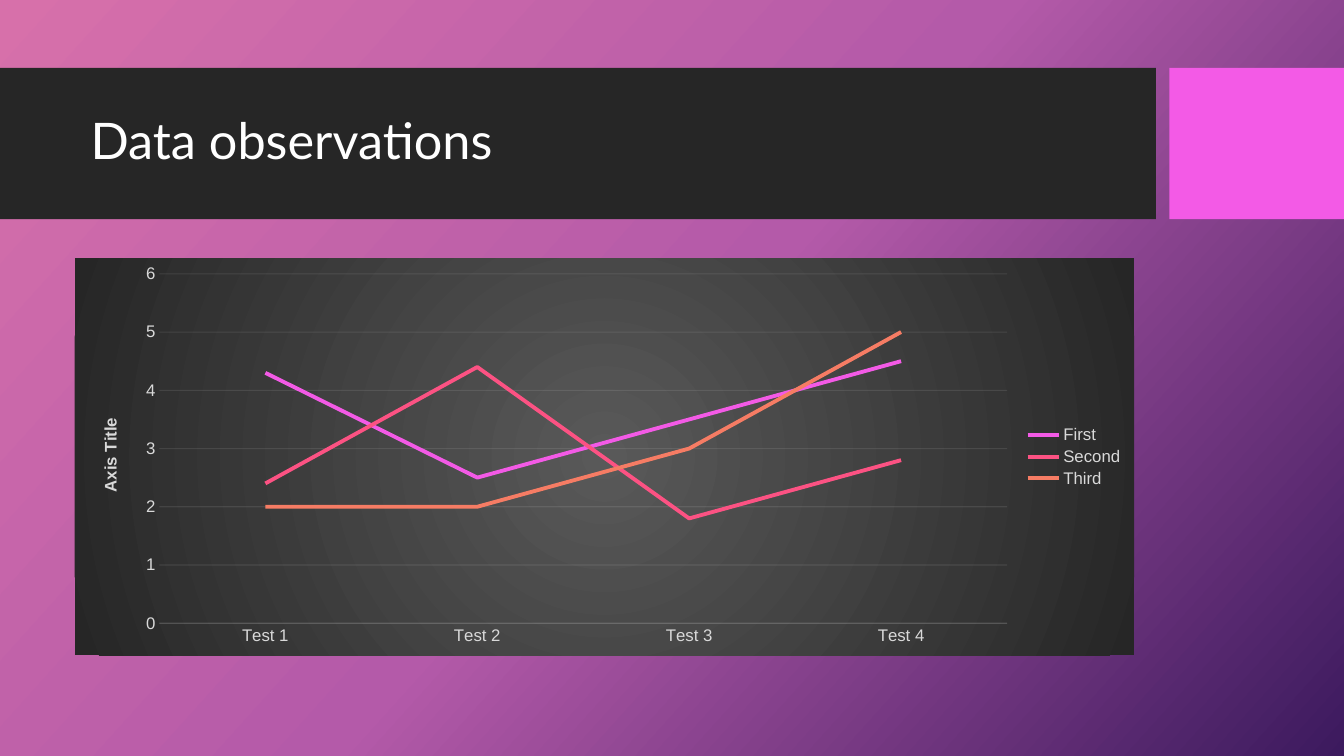
from dataclasses import dataclass

from lxml.etree import SubElement
from pptx import Presentation
from pptx.chart.data import CategoryChartData
from pptx.dml.color import RGBColor
from pptx.enum.chart import XL_CHART_TYPE, XL_LEGEND_POSITION, XL_MARKER_STYLE, XL_TICK_MARK
from pptx.enum.shapes import MSO_SHAPE
from pptx.enum.text import MSO_ANCHOR
from pptx.oxml import parse_xml
from pptx.oxml.ns import nsdecls, qn
from pptx.util import Inches, Pt


@dataclass(frozen=True)
class Theme:
    """Colours, fonts and type sizes of the slide."""

    backdrop: tuple = ((0, "D770AA"), (50, "B45AA9"), (100, "3C1A5E"))
    panel: tuple = ((0, "595959"), (100, "262626"))
    band: str = "262626"
    accent: str = "F35AE6"
    title: str = "FFFFFF"
    label: str = "D9D9D9"
    rule: str = "F2F2F2"
    series: tuple = ("F35AE6", "FC5283", "F67C64")
    title_font: str = "Lato"
    chart_font: str = "Arial"
    title_size: int = 36
    label_size: int = 12


@dataclass(frozen=True)
class Box:
    """A rectangle in inches."""

    left: float
    top: float
    width: float
    height: float

    def place(self):
        """Return the rectangle as slide lengths."""
        return [Inches(side) for side in (self.left, self.top, self.width, self.height)]

    def inner(self, left, top, width, height):
        """Return the inner box given as shares of this one."""
        return Box(self.left + left * self.width, self.top + top * self.height,
                   width * self.width, height * self.height)


THEME = Theme()
SLIDE = Box(0, 0, 13.33, 7.5)
CATEGORIES = ("Test 1", "Test 2", "Test 3", "Test 4")
RESULTS = {
    "First": (4.3, 2.5, 3.5, 4.5),
    "Second": (2.4, 4.4, 1.8, 2.8),
    "Third": (2, 2, 3, 5),
}


def gradient(stops, direction):
    """Build a gradient fill from percent stops and a direction element."""
    listing = "".join(
        f'<a:gs pos="{share * 1000}"><a:srgbClr val="{color}"/></a:gs>' for share, color in stops)
    return f'<a:gradFill {nsdecls("a")}><a:gsLst>{listing}</a:gsLst>{direction}</a:gradFill>'


def style_font(font, name, size, color, bold=False):
    """Set the face, size, colour and weight of a font."""
    font.name, font.size, font.bold = name, Pt(size), bold
    font.color.rgb = RGBColor.from_string(color)


def style_line(line, color, width):
    """Set the colour and width of a line."""
    line.color.rgb = RGBColor.from_string(color)
    line.width = Pt(width)


def paint_background(page):
    """Fill the page with the slanted gradient."""
    page.background.fill.solid()
    solid = next(page.element.iter(qn("a:solidFill")))
    direction = f'<a:lin ang="{42 * 60000}" scaled="0"/>'
    solid.getparent().replace(solid, parse_xml(gradient(THEME.backdrop, direction)))


def add_block(page, box, color):
    """Add a plain rectangle without outline."""
    block = page.shapes.add_shape(MSO_SHAPE.RECTANGLE, *box.place())
    block.shadow.inherit = False
    block.fill.solid()
    block.fill.fore_color.rgb = RGBColor.from_string(color)
    block.line.fill.background()


def add_header(page, box, title):
    """Add the dark band, the accent block and the title."""
    add_block(page, box.inner(0, 0, 0.86, 1), THEME.band)
    add_block(page, box.inner(0.87, 0, 0.13, 1), THEME.accent)
    frame = page.shapes.add_textbox(*box.inner(0.06, 0.1, 0.79, 0.79).place()).text_frame
    frame.word_wrap = True
    frame.vertical_anchor = MSO_ANCHOR.MIDDLE
    frame.text = title
    para = frame.paragraphs[0]
    para.line_spacing = 0.9
    style_font(para.runs[0].font, THEME.title_font, THEME.title_size, THEME.title)


def style_axes(chart):
    """Style both axes, the value title and the faint rules."""
    category, value = chart.category_axis, chart.value_axis
    for axis in (category, value):
        axis.major_tick_mark = axis.minor_tick_mark = XL_TICK_MARK.NONE
        style_font(axis.tick_labels.font, THEME.chart_font, THEME.label_size, THEME.label)
    value.minimum_scale, value.maximum_scale, value.major_unit = 0, 6, 1
    value.format.line.fill.background()
    style_line(category.format.line, THEME.rule, 0.75)
    style_line(value.major_gridlines.format.line, THEME.rule, 0.75)
    for color in chart.element.iter(qn("a:srgbClr")):
        if color.get("val") == THEME.rule:
            SubElement(color, qn("a:alpha"), val="10000")
    frame = value.axis_title.text_frame
    frame.text = "Axis Title"
    style_font(frame.paragraphs[0].runs[0].font, THEME.chart_font,
               THEME.label_size, THEME.label, True)
    title = next(chart.element.iter(qn("c:title")))
    body = next(title.iter(qn("a:bodyPr")))
    body.set("rot", "-5400000")
    body.set("vert", "horz")


def style_panel(chart):
    """Fill the chart area and fix the plot inside it."""
    centre = '<a:path path="circle"><a:fillToRect l="50000" t="50000" r="50000" b="50000"/></a:path>'
    fill = gradient(THEME.panel, centre)
    chart.element.find(qn("c:chart")).addnext(parse_xml(
        f'<c:spPr {nsdecls("c", "a")}>{fill}<a:ln><a:noFill/></a:ln></c:spPr>'))
    plot = next(chart.element.iter(qn("c:plotArea")))
    for layout in plot.findall(qn("c:layout")):
        plot.remove(layout)
    layout = SubElement(plot, qn("c:layout"))
    plot.insert(0, layout)
    manual = SubElement(layout, qn("c:manualLayout"))
    settings = {"layoutTarget": "inner", "xMode": "edge", "yMode": "edge",
                "x": "0.08", "y": "0.04", "w": "0.8", "h": "0.88"}
    for name, setting in settings.items():
        SubElement(manual, qn(f"c:{name}"), val=setting)


def add_results(page, box):
    """Add the line chart of test results."""
    table = CategoryChartData()
    table.categories = CATEGORIES
    for name, scores in RESULTS.items():
        table.add_series(name, scores)
    chart = page.shapes.add_chart(XL_CHART_TYPE.LINE, *box.place(), table).chart
    chart.has_title = False
    style_font(chart.font, THEME.chart_font, THEME.label_size, THEME.label)
    chart.has_legend = True
    chart.legend.position = XL_LEGEND_POSITION.RIGHT
    chart.legend.include_in_layout = False
    style_font(chart.legend.font, THEME.chart_font, THEME.label_size, THEME.label)
    chart.plots[0].vary_by_categories = False
    for series, color in zip(chart.plots[0].series, THEME.series):
        series.smooth = False
        series.marker.style = XL_MARKER_STYLE.NONE
        style_line(series.format.line, color, 2.75)
    style_axes(chart)
    style_panel(chart)


def main():
    """Build and save the deck."""
    deck = Presentation()
    deck.slide_width, deck.slide_height = Inches(SLIDE.width), Inches(SLIDE.height)
    page = deck.slides.add_slide(deck.slide_layouts[6])
    paint_background(page)
    add_header(page, SLIDE.inner(0, 0.09, 1, 0.2), "Data observations")
    add_results(page, Box(0.74, 2.56, 10.51, 3.94))
    deck.save("out.pptx")


if __name__ == "__main__":
    main()
